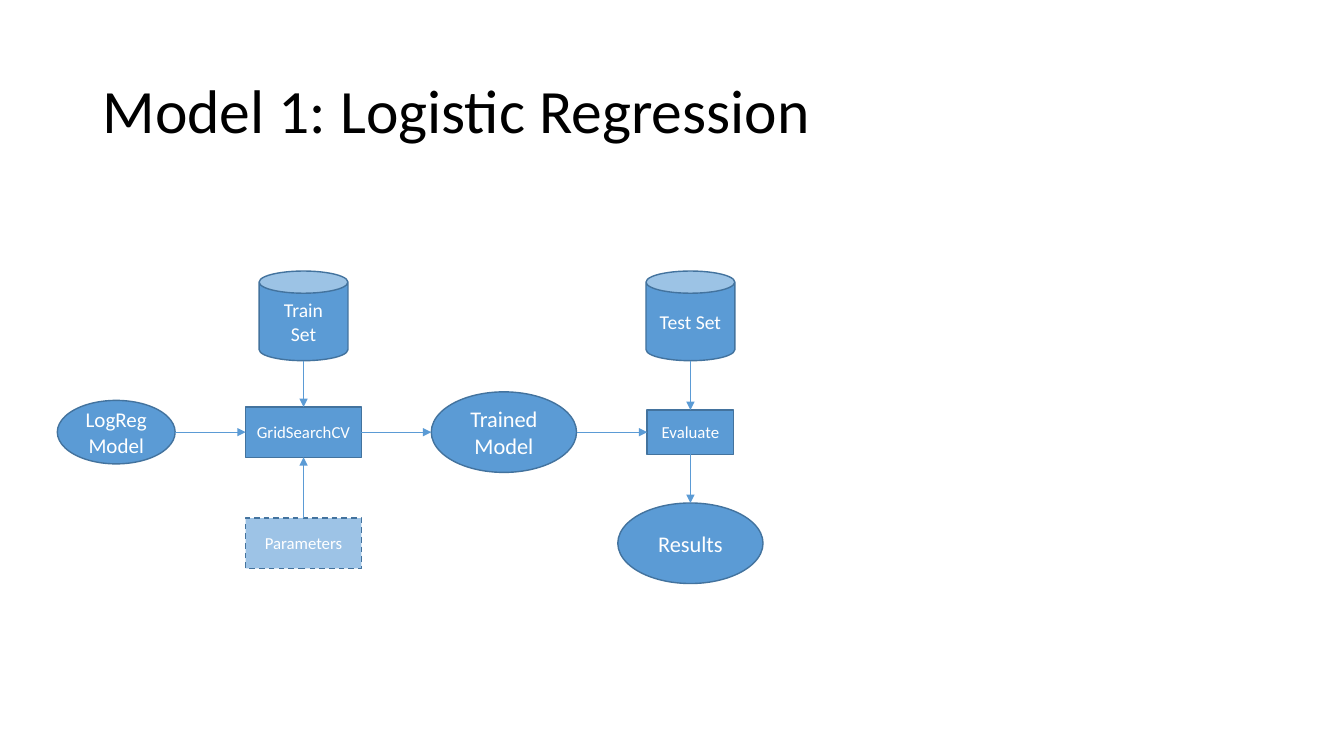
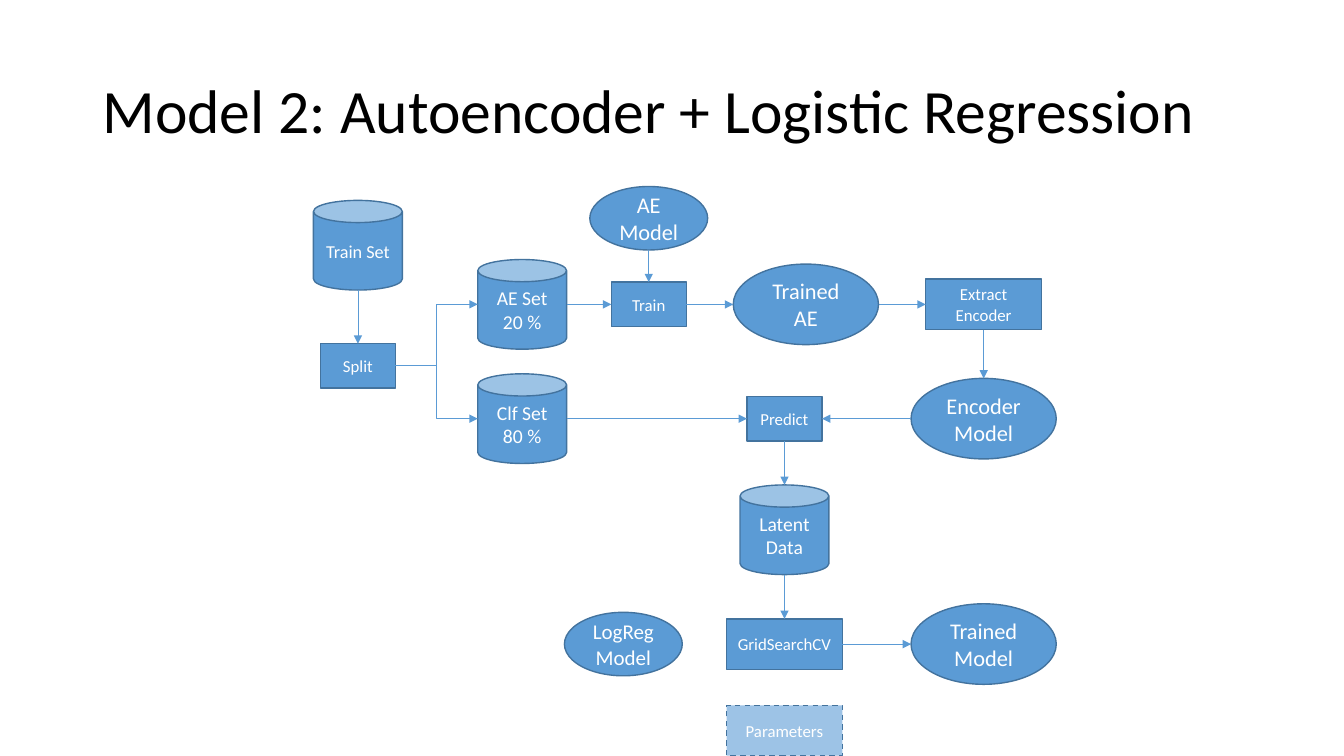
from dataclasses import dataclass
from enum import Enum

from lxml.etree import SubElement
from pptx import Presentation
from pptx.dml.color import RGBColor
from pptx.enum.dml import MSO_LINE
from pptx.enum.shapes import MSO_CONNECTOR, MSO_SHAPE
from pptx.enum.text import MSO_ANCHOR, PP_ALIGN
from pptx.oxml.ns import qn
from pptx.slide import Slide
from pptx.text.text import TextFrame
from pptx.util import Cm, Pt

FONT = "Calibri"
BLUE = RGBColor(0x5B, 0x9B, 0xD5)
PALE_BLUE = RGBColor(0x9D, 0xC3, 0xE6)
DARK_BLUE = RGBColor(0x43, 0x73, 0x9E)
WHITE = RGBColor(0xFF, 0xFF, 0xFF)
BLACK = RGBColor(0x00, 0x00, 0x00)


@dataclass(frozen=True)
class Kind:
    preset: MSO_SHAPE
    width: float
    height: float
    size: float
    fill: RGBColor = BLUE
    dashed: bool = False


DATA = Kind(MSO_SHAPE.CAN, 2.24, 2.26, 14)
DATA_SMALL_TEXT = Kind(MSO_SHAPE.CAN, 2.24, 2.26, 13)
RESULT = Kind(MSO_SHAPE.OVAL, 3.66, 2.03, 16)
MODEL = Kind(MSO_SHAPE.OVAL, 2.97, 1.6, 16)
MODEL_SMALL_TEXT = Kind(MSO_SHAPE.OVAL, 2.97, 1.6, 15)
STEP = Kind(MSO_SHAPE.RECTANGLE, 1.89, 1.12, 12)
EVALUATION = Kind(MSO_SHAPE.RECTANGLE, 2.18, 1.12, 12)
WIDE_STEP = Kind(MSO_SHAPE.RECTANGLE, 2.92, 1.27, 12)
SETTINGS = Kind(MSO_SHAPE.RECTANGLE, 2.92, 1.27, 12, PALE_BLUE, True)


class Side(Enum):
    TOP = (0, -0.5)
    BOTTOM = (0, 0.5)
    LEFT = (-0.5, 0)
    RIGHT = (0.5, 0)


@dataclass(frozen=True)
class Node:
    kind: Kind
    text: str
    x: float
    y: float

    def point(self, side: Side) -> tuple[float, float]:
        dx, dy = side.value
        return self.x + dx * self.kind.width, self.y + dy * self.kind.height


@dataclass(frozen=True)
class Link:
    start: str
    end: str
    leave: Side
    enter: Side
    bent: bool = False


def right(start: str, end: str, bent: bool = False) -> Link:
    return Link(start, end, Side.RIGHT, Side.LEFT, bent)


def left(start: str, end: str) -> Link:
    return Link(start, end, Side.LEFT, Side.RIGHT)


def down(start: str, end: str) -> Link:
    return Link(start, end, Side.BOTTOM, Side.TOP)


def up(start: str, end: str) -> Link:
    return Link(start, end, Side.TOP, Side.BOTTOM)


@dataclass(frozen=True)
class Diagram:
    title: str
    nodes: dict[str, Node]
    links: list[Link]


def format_text(tf: TextFrame, size: float, color: RGBColor, align: PP_ALIGN) -> None:
    tf.word_wrap = True
    tf.vertical_anchor = MSO_ANCHOR.MIDDLE
    for p in tf.paragraphs:
        p.alignment = align
        for r in p.runs:
            r.font.name = FONT
            r.font.size = Pt(size)
            r.font.color.rgb = color


def draw_title(s: Slide, text: str) -> None:
    sp = s.shapes.title
    sp.left, sp.top, sp.width, sp.height = Cm(2.33), Cm(1.01), Cm(29.21), Cm(3.68)
    tf = sp.text_frame
    tf.text = text
    tf.paragraphs[0].line_spacing = 0.9
    format_text(tf, 44, BLACK, PP_ALIGN.LEFT)


def draw_node(s: Slide, node: Node) -> None:
    kind = node.kind
    sp = s.shapes.add_shape(
        kind.preset,
        Cm(node.x - kind.width / 2),
        Cm(node.y - kind.height / 2),
        Cm(kind.width),
        Cm(kind.height),
    )
    sp.shadow.inherit = False
    sp.fill.solid()
    sp.fill.fore_color.rgb = kind.fill
    sp.line.color.rgb = DARK_BLUE
    sp.line.width = Pt(1)
    if kind.dashed:
        sp.line.dash_style = MSO_LINE.DASH
    sp.text_frame.text = node.text
    format_text(sp.text_frame, kind.size, WHITE, PP_ALIGN.CENTER)


def draw_link(s: Slide, link: Link, nodes: dict[str, Node]) -> None:
    x1, y1 = nodes[link.start].point(link.leave)
    x2, y2 = nodes[link.end].point(link.enter)
    shape = MSO_CONNECTOR.ELBOW if link.bent else MSO_CONNECTOR.STRAIGHT
    line = s.shapes.add_connector(shape, Cm(x1), Cm(y1), Cm(x2), Cm(y2))
    line.line.color.rgb = BLUE
    line.line.width = Pt(0.5)
    SubElement(line.line._get_or_add_ln(), qn("a:tailEnd"), type="triangle")
    SubElement(line._element.spPr, qn("a:effectLst"))


def draw_diagram(s: Slide, diagram: Diagram) -> None:
    draw_title(s, diagram.title)
    for node in diagram.nodes.values():
        draw_node(s, node)
    for link in diagram.links:
        draw_link(s, link, diagram.nodes)


SEARCH_X, TEST_X = 7.65, 17.4
DATA_Y, FLOW_Y, LOWER_Y = 7.96, 10.89, 13.69

LOGISTIC = Diagram(
    "Model 1: Logistic Regression",
    {
        "train set": Node(DATA, "Train\vSet", SEARCH_X, DATA_Y),
        "test set": Node(DATA, "Test Set", TEST_X, DATA_Y),
        "logreg": Node(MODEL_SMALL_TEXT, "LogReg Model", 2.93, FLOW_Y),
        "search": Node(WIDE_STEP, "GridSearchCV", SEARCH_X, FLOW_Y),
        "trained": Node(RESULT, "Trained Model", 12.7, FLOW_Y),
        "evaluate": Node(EVALUATION, "Evaluate", TEST_X, FLOW_Y),
        "parameters": Node(SETTINGS, "Parameters", SEARCH_X, LOWER_Y),
        "results": Node(RESULT, "Results", TEST_X, LOWER_Y),
    },
    [
        right("logreg", "search"),
        right("search", "trained"),
        right("trained", "evaluate"),
        down("train set", "search"),
        up("parameters", "search"),
        down("test set", "evaluate"),
        down("evaluate", "results"),
    ],
)

SPLIT_X, SETS_X, TRAIN_X, PREDICT_X, ENCODER_X = 9.02, 13.16, 16.35, 19.77, 24.79
AE_Y, CLF_Y, SEARCH_Y = 7.67, 10.55, 16.23

AUTOENCODER = Diagram(
    "Model 2: Autoencoder + Logistic Regression",
    {
        "train set": Node(DATA_SMALL_TEXT, "Train Set", SPLIT_X, 6.18),
        "split": Node(STEP, "Split", SPLIT_X, 9.22),
        "ae set": Node(DATA, "AE Set\n20 %", SETS_X, AE_Y),
        "clf set": Node(DATA, "Clf Set\n80 %", SETS_X, CLF_Y),
        "ae model": Node(MODEL, "AE Model", TRAIN_X, 5.5),
        "train": Node(STEP, "Train", TRAIN_X, AE_Y),
        "trained ae": Node(RESULT, "Trained AE", 20.31, AE_Y),
        "extract": Node(WIDE_STEP, "Extract Encoder", ENCODER_X, AE_Y),
        "encoder": Node(RESULT, "Encoder Model", ENCODER_X, CLF_Y),
        "predict": Node(STEP, "Predict", PREDICT_X, CLF_Y),
        "latent": Node(DATA, "Latent\vData", PREDICT_X, 13.35),
        "logreg": Node(MODEL_SMALL_TEXT, "LogReg Model", 15.71, SEARCH_Y),
        "search": Node(WIDE_STEP, "GridSearchCV", PREDICT_X, SEARCH_Y),
        "trained": Node(RESULT, "Trained Model", ENCODER_X, SEARCH_Y),
        "parameters": Node(SETTINGS, "Parameters", PREDICT_X, 18.41),
    },
    [
        down("train set", "split"),
        right("split", "ae set", bent=True),
        right("split", "clf set", bent=True),
        right("ae set", "train"),
        down("ae model", "train"),
        right("train", "trained ae"),
        right("trained ae", "extract"),
        down("extract", "encoder"),
        left("encoder", "predict"),
        right("clf set", "predict"),
        down("predict", "latent"),
        down("latent", "search"),
        right("search", "trained"),
    ],
)

prs = Presentation()
prs.slide_width, prs.slide_height = Cm(33.87), Cm(19.05)
for diagram in (LOGISTIC, AUTOENCODER):
    draw_diagram(prs.slides.add_slide(prs.slide_layouts[5]), diagram)
prs.save("out.pptx")
